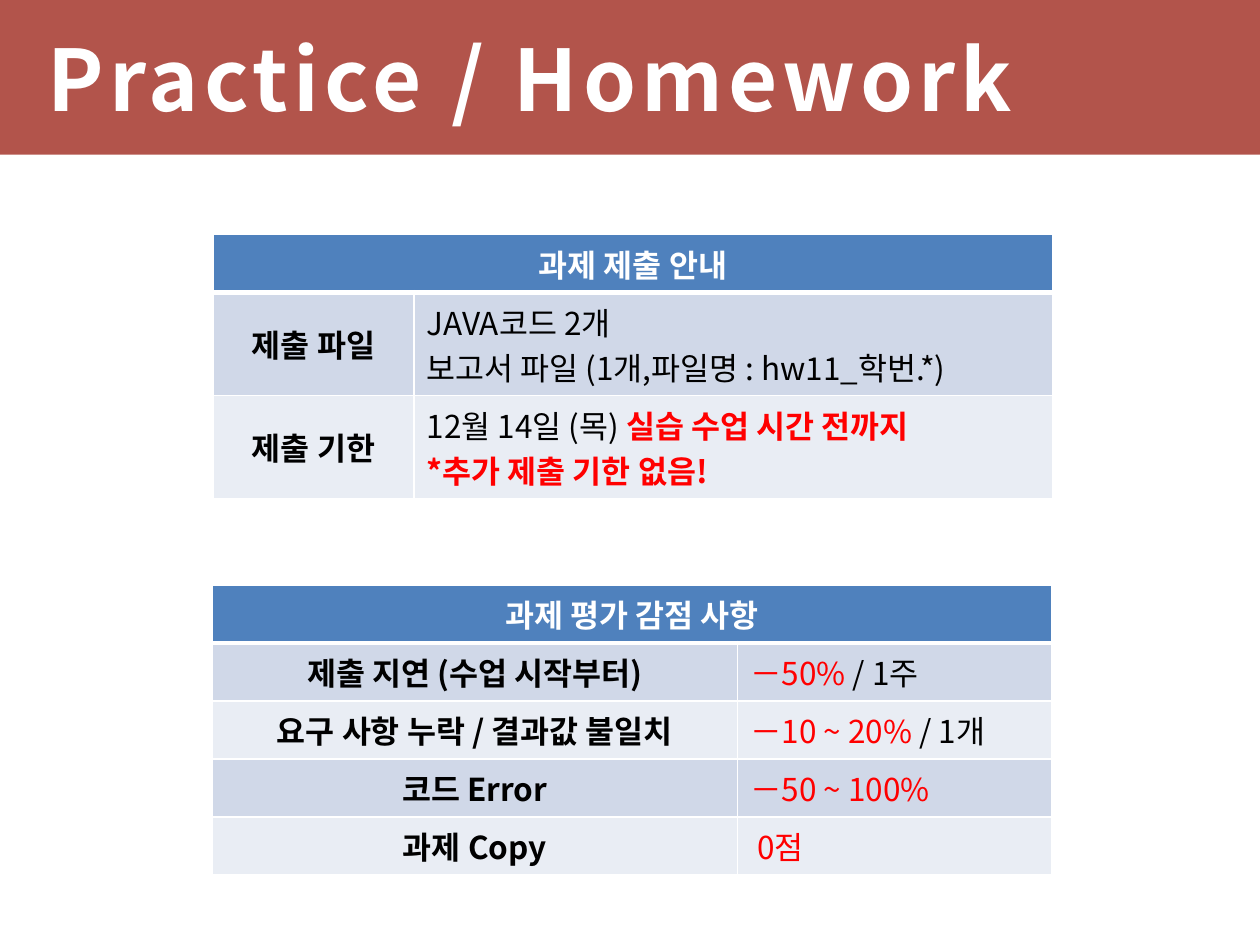
from dataclasses import dataclass

from lxml import etree
from pptx import Presentation
from pptx.dml.color import RGBColor
from pptx.enum.shapes import MSO_SHAPE
from pptx.enum.text import MSO_ANCHOR, PP_ALIGN
from pptx.oxml.ns import qn
from pptx.util import Cm, Pt

RECT = MSO_SHAPE.RECTANGLE
MIDDLE = MSO_ANCHOR.MIDDLE
LEFT, CENTER = PP_ALIGN.LEFT, PP_ALIGN.CENTER

FONT = "Noto Sans CJK KR"
COLORS = {
    "banner": "9B1F13",
    "header": "4F81BD",
    "band_dark": "D0D8E8",
    "band_light": "E9EDF4",
    "white": "FFFFFF",
    "black": "000000",
    "red": "FF0000",
}
BANNER_W, BANNER_H = 25.4, 3.12
ROW_H, EXTRA_LINE_H = 1.17, 0.91


@dataclass
class Run:
    text: str
    color: str = "black"
    bold: bool = False


@dataclass
class Row:
    label: str
    paragraphs: list[list[Run]]


@dataclass
class InfoTable:
    heading: str
    left: float
    top: float
    col_widths: list[float]
    rows: list[Row]


TABLES = [
    InfoTable("과제 평가 감점 사항", 4.27, 11.79, [10.6, 6.33], [
        Row("제출 지연 (수업 시작부터)", [[Run("－50%", "red"), Run(" / 1주")]]),
        Row("요구 사항 누락 / 결과값 불일치",
            [[Run("－10 ~ 20%", "red"), Run(" / 1개")]]),
        Row("코드 Error", [[Run("－50 ~ 100%", "red")]]),
        Row("과제 Copy", [[Run(" 0점", "red")]]),
    ]),
    InfoTable("과제 제출 안내", 4.29, 4.72, [4.06, 12.88], [
        Row("제출 파일", [
            [Run("JAVA코드 2개")],
            [Run("보고서 파일 (1개,파일명 : hw11_학번.*)")],
        ]),
        Row("제출 기한", [
            [Run("12월 14일 (목) "), Run("실습 수업 시간 전까지", "red", True)],
            [Run("*추가 제출 기한 없음!", "red", True)],
        ]),
    ]),
]


def rgb(name: str) -> RGBColor:
    return RGBColor.from_string(COLORS[name])


def add_run(p, text: str, *, color: str = "black", bold: bool = False,
            size: float = 18, spacing: float = 0) -> None:
    """Append a run; spacing is the extra letter spacing in points."""
    r = p.add_run()
    r.text = text
    r.font.size = Pt(size)
    r.font.bold = bold
    r.font.name = FONT
    r.font.color.rgb = rgb(color)
    rPr = r.font._element
    etree.SubElement(rPr, qn("a:ea"), typeface=FONT)
    if spacing:
        rPr.set("spc", str(int(spacing * 100)))


def set_borders(cell, top: float = 1, bottom: float = 1) -> None:
    """Give a cell white borders, with widths in points."""
    tcPr = cell._tc.get_or_add_tcPr()
    sides = {"L": 1, "R": 1, "T": top, "B": bottom}
    for i, (side, width) in enumerate(sides.items()):
        ln = etree.Element(qn(f"a:ln{side}"), w=str(Pt(width)))
        fill = etree.SubElement(ln, qn("a:solidFill"))
        etree.SubElement(fill, qn("a:srgbClr"), val=COLORS["white"])
        tcPr.insert(i, ln)


def fill_cell(cell, paragraphs: list[list[Run]], fill: str, align) -> None:
    cell.fill.solid()
    cell.fill.fore_color.rgb = rgb(fill)
    cell.vertical_anchor = MIDDLE
    tf = cell.text_frame
    for i, runs in enumerate(paragraphs):
        p = tf.add_paragraph() if i else tf.paragraphs[0]
        p.alignment = align
        for run in runs:
            add_run(p, run.text, color=run.color, bold=run.bold)


def draw_table(s, info: InfoTable) -> None:
    heights = [ROW_H] + [ROW_H + EXTRA_LINE_H * (len(row.paragraphs) - 1)
                         for row in info.rows]
    table = s.shapes.add_table(
        len(heights), 2, Cm(info.left), Cm(info.top),
        Cm(sum(info.col_widths)), Cm(sum(heights))).table
    for column, width in zip(table.columns, info.col_widths):
        column.width = Cm(width)
    for row, height in zip(table.rows, heights):
        row.height = Cm(height)

    header = table.cell(0, 0)
    header.merge(table.cell(0, 1))
    fill_cell(header, [[Run(info.heading, "white", True)]], "header", CENTER)
    for col in range(2):
        set_borders(table.cell(0, col), bottom=3)

    for i, row in enumerate(info.rows, start=1):
        band = "band_dark" if i % 2 else "band_light"
        label, detail = table.cell(i, 0), table.cell(i, 1)
        fill_cell(label, [[Run(row.label, bold=True)]], band, CENTER)
        fill_cell(detail, row.paragraphs, band, LEFT)
        for cell in (label, detail):
            set_borders(cell, top=3 if i == 1 else 1)


def draw_banner(s) -> None:
    banner = s.shapes.add_shape(RECT, 0, 0, Cm(BANNER_W), Cm(BANNER_H))
    banner.shadow.inherit = False
    banner.line.fill.background()
    banner.fill.solid()
    banner.fill.fore_color.rgb = rgb("banner")
    color = banner._element.spPr.find(f".//{qn('a:srgbClr')}")
    etree.SubElement(color, qn("a:alpha"), val="76000")

    title = s.shapes.add_textbox(Cm(0.71), 0, Cm(24), Cm(BANNER_H))
    tf = title.text_frame
    tf.word_wrap = True
    tf.vertical_anchor = MIDDLE
    add_run(tf.paragraphs[0], "Practice / Homework",
            color="white", bold=True, size=48.5, spacing=3)


def main() -> None:
    prs = Presentation()
    prs.slide_width, prs.slide_height = Cm(25.4), Cm(19.05)
    s = prs.slides.add_slide(prs.slide_layouts[6])
    draw_banner(s)
    for info in TABLES:
        draw_table(s, info)
    prs.save("out.pptx")


if __name__ == "__main__":
    main()
